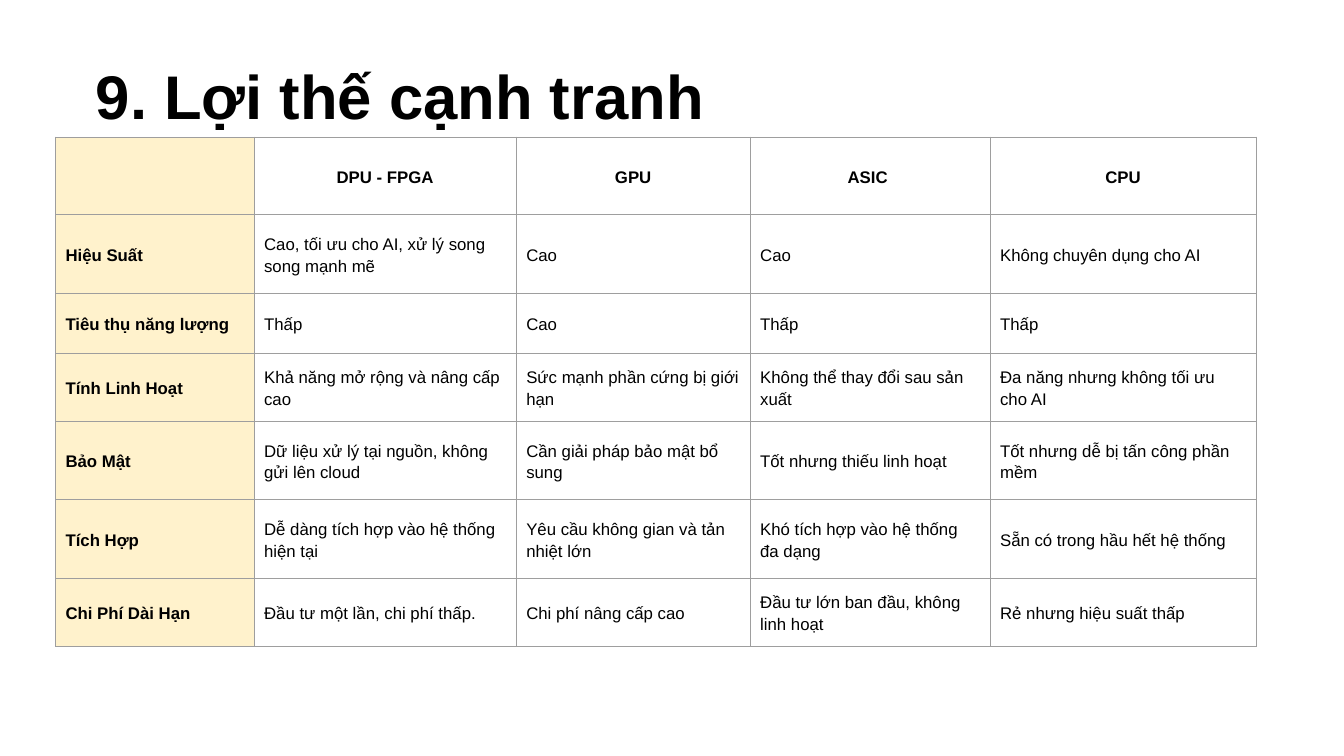
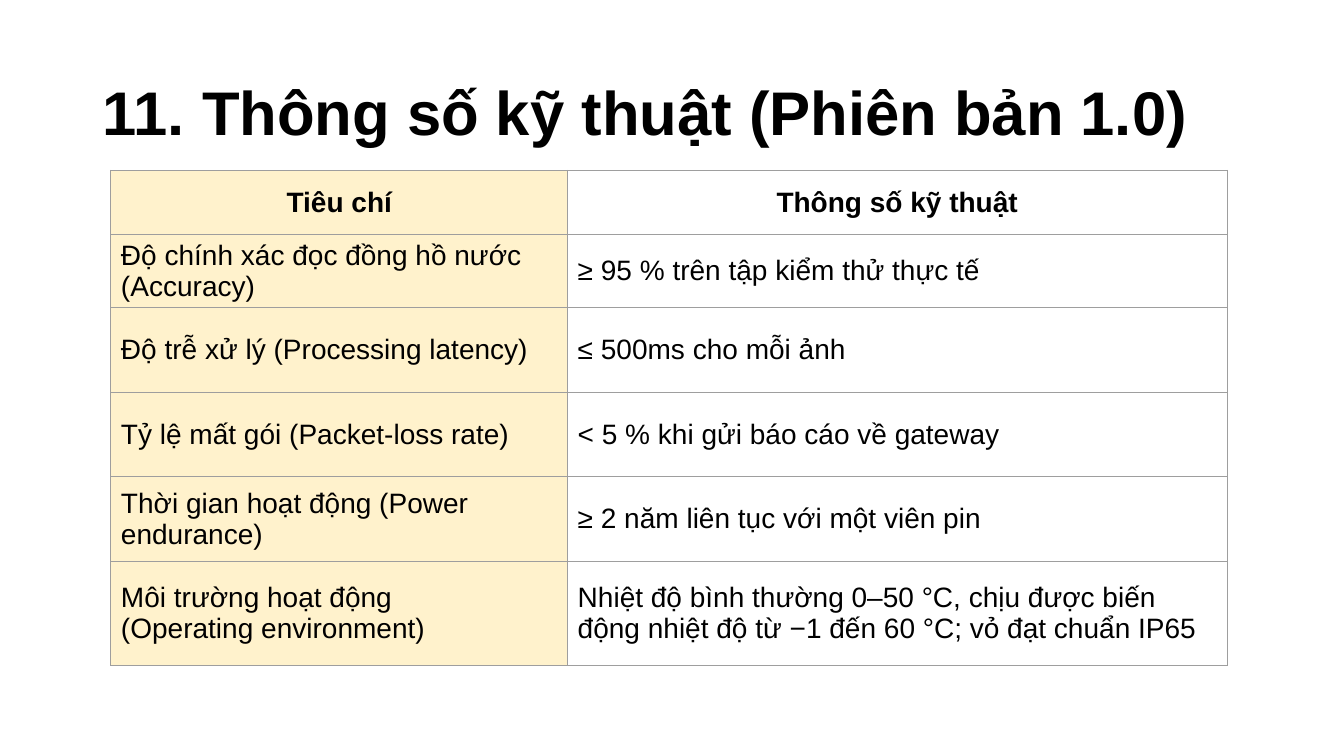
from lxml import etree
from pptx import Presentation
from pptx import util as u
from pptx.dml.color import RGBColor
from pptx.enum import text
from pptx.oxml.ns import qn

# Shared style
PX = 9144  # EMU in one px, 100 px to the inch
FONT = "Arial"
BLACK = RGBColor(0x00, 0x00, 0x00)
WHITE = RGBColor(0xFF, 0xFF, 0xFF)
CREAM = RGBColor(0xFF, 0xF2, 0xCC)
BORDER_GREY = RGBColor(0x9E, 0x9E, 0x9E)
TITLE_ONLY = 5

# Content
ADVANTAGES = [
    ["", "DPU - FPGA", "GPU", "ASIC ", "CPU"],
    ["Hiệu Suất", "Cao, tối ưu cho AI, xử lý song song mạnh mẽ", "Cao", "Cao",
     "Không chuyên dụng cho AI"],
    ["Tiêu thụ năng lượng", "Thấp", "Cao", "Thấp", "Thấp"],
    ["Tính Linh Hoạt", "Khả năng mở rộng và nâng cấp cao",
     "Sức mạnh phần cứng bị giới hạn", "Không thể thay đổi sau sản xuất",
     "Đa năng nhưng không tối ưu cho AI"],
    ["Bảo Mật", "Dữ liệu xử lý tại nguồn, không gửi lên cloud",
     "Cần giải pháp bảo mật bổ sung", "Tốt nhưng thiếu linh hoạt",
     "Tốt nhưng dễ bị tấn công phần mềm"],
    ["Tích Hợp", "Dễ dàng tích hợp vào hệ thống hiện tại",
     "Yêu cầu không gian và tản nhiệt lớn", "Khó tích hợp vào hệ thống đa dạng",
     "Sẵn có trong hầu hết hệ thống"],
    ["Chi Phí Dài Hạn", "Đầu tư một lần, chi phí thấp.", "Chi phí nâng cấp cao",
     "Đầu tư lớn ban đầu, không linh hoạt", "Rẻ nhưng hiệu suất thấp"],
]
SPECIFICATIONS = [
    ["Tiêu chí", "Thông số kỹ thuật"],
    ["Độ chính xác đọc đồng hồ nước\n(Accuracy)", "≥ 95 % trên tập kiểm thử thực tế"],
    ["Độ trễ xử lý (Processing latency)", "≤ 500ms cho mỗi ảnh"],
    ["Tỷ lệ mất gói (Packet-loss rate)", "< 5 % khi gửi báo cáo về gateway"],
    ["Thời gian hoạt động (Power endurance)", "≥ 2 năm liên tục với một viên pin"],
    ["Môi trường hoạt động\n(Operating environment)",
     "Nhiệt độ bình thường 0–50 °C, chịu được biến động nhiệt độ từ −1 đến 60 °C; "
     "vỏ đạt chuẩn IP65"],
]


def px(length):
    return u.Emu(length * PX)


def write(frame, content, size, bold=False, centred=False, spacing=1.0):
    """Fill a text frame, one paragraph for each line of content."""
    frame.text = content
    frame.word_wrap = True
    for paragraph in frame.paragraphs:
        paragraph.alignment = text.PP_ALIGN.CENTER if centred else text.PP_ALIGN.LEFT
        paragraph.line_spacing = spacing
        for run in paragraph.runs:
            run.font.name = FONT
            run.font.size = u.Pt(size)
            run.font.bold = bold
            run.font.color.rgb = BLACK


def add_titled_slide(deck, heading, left, top, width, height):
    slide = deck.slides.add_slide(deck.slide_layouts[TITLE_ONLY])
    title = slide.shapes.title
    title.left, title.top, title.width, title.height = map(px, (left, top, width, height))
    frame = title.text_frame
    write(frame, heading, 44, bold=True, spacing=0.9)
    frame.auto_size = text.MSO_AUTO_SIZE.NONE
    frame.vertical_anchor = text.MSO_ANCHOR.MIDDLE
    return slide


def outline(cell):
    """Draw the four borders; they must stand before the cell's fill."""
    properties = cell._tc.get_or_add_tcPr()
    for side in ("a:lnL", "a:lnR", "a:lnT", "a:lnB"):
        line = etree.SubElement(properties, qn(side), w=str(u.Pt(0.75)))
        fill = etree.SubElement(line, qn("a:solidFill"))
        etree.SubElement(fill, qn("a:srgbClr"), val=str(BORDER_GREY))


def add_grid(slide, rows, left, top, widths, heights, size, inset, spacing=1.0,
             bold_labels=False):
    """Add a table with a centred bold header and a cream label column."""
    table = slide.shapes.add_table(len(rows), len(widths), px(left), px(top),
                                   px(sum(widths)), px(sum(heights))).table
    table.first_row = table.horz_banding = False
    for column, width in zip(table.columns, widths):
        column.width = px(width)
    for row, height in zip(table.rows, heights):
        row.height = px(height)
    for r, row in enumerate(rows):
        for c, content in enumerate(row):
            cell = table.cell(r, c)
            outline(cell)
            cell.fill.solid()
            cell.fill.fore_color.rgb = CREAM if c == 0 else WHITE
            cell.vertical_anchor = text.MSO_ANCHOR.MIDDLE
            cell.margin_left = cell.margin_right = px(10)
            cell.margin_top = cell.margin_bottom = px(inset)
            write(cell.text_frame, content, size, centred=r == 0, spacing=spacing,
                  bold=r == 0 or (bold_labels and c == 0))


def main():
    deck = Presentation()
    deck.slide_width, deck.slide_height = px(1333), px(750)

    # Competitive advantages
    slide = add_titled_slide(deck, "9. Lợi thế cạnh tranh", 85, 57, 1109, 84)
    add_grid(slide, ADVANTAGES, 55, 136, [197, 260, 232, 238, 264],
             [77, 78, 60, 67, 78, 78, 67], size=12, inset=10, spacing=1.15,
             bold_labels=True)

    # Technical specifications
    slide = add_titled_slide(deck, "11. Thông số kỹ thuật (Phiên bản 1.0)", 92, 60, 1150, 109)
    add_grid(slide, SPECIFICATIONS, 110, 169, [453, 654],
             [64, 72, 84, 84, 84, 103], size=20, inset=5)

    deck.save("out.pptx")


if __name__ == "__main__":
    main()
